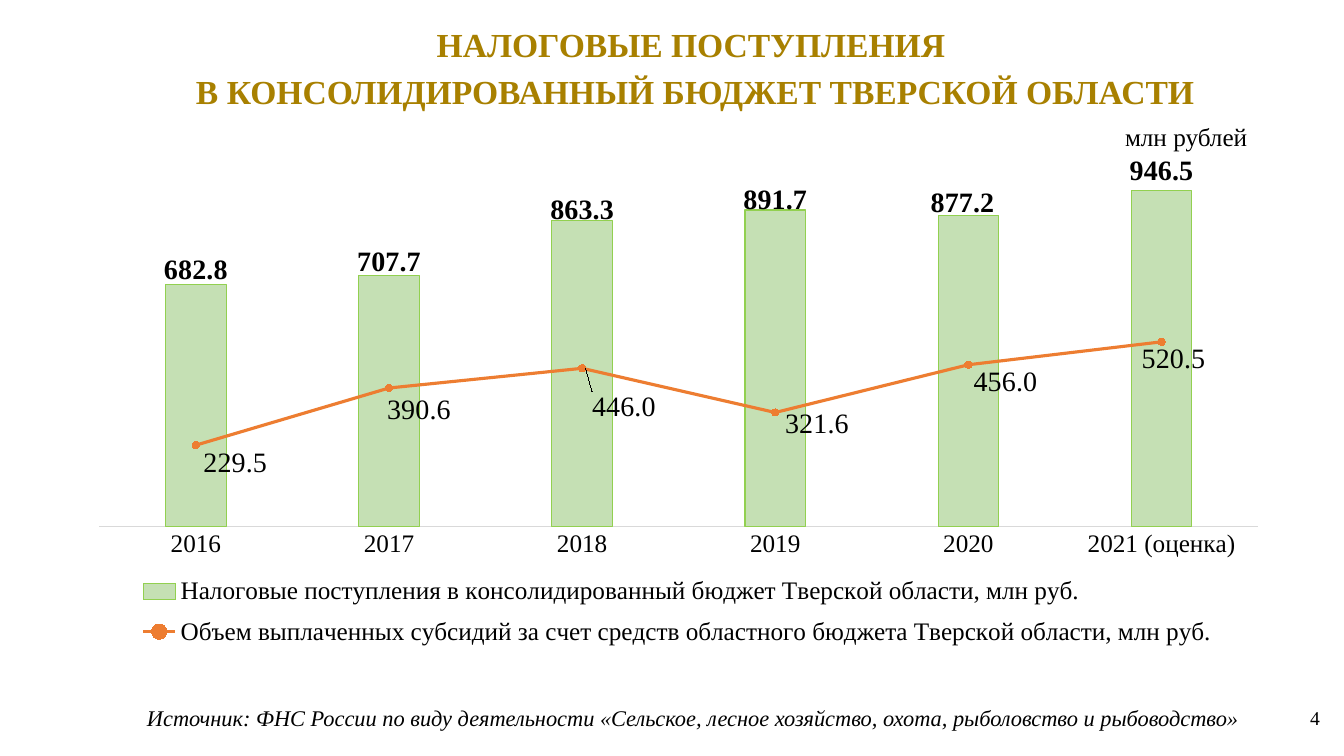
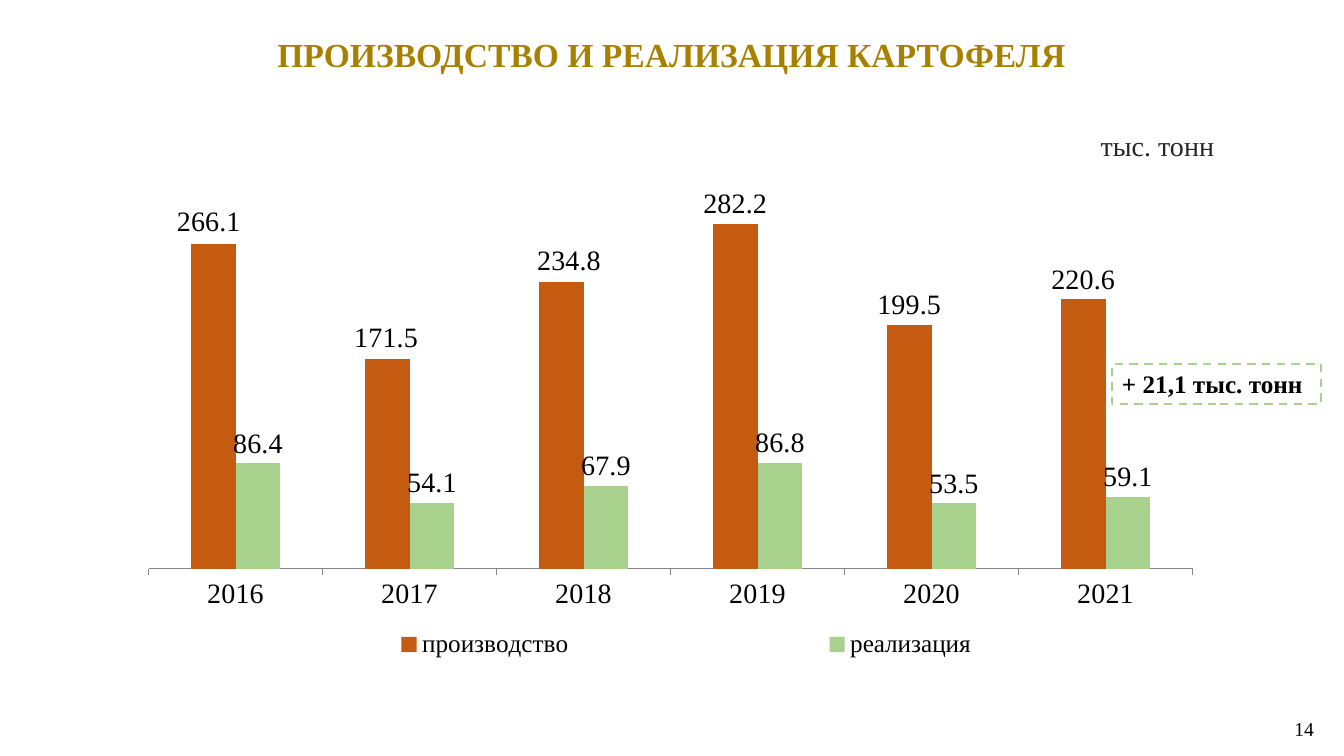
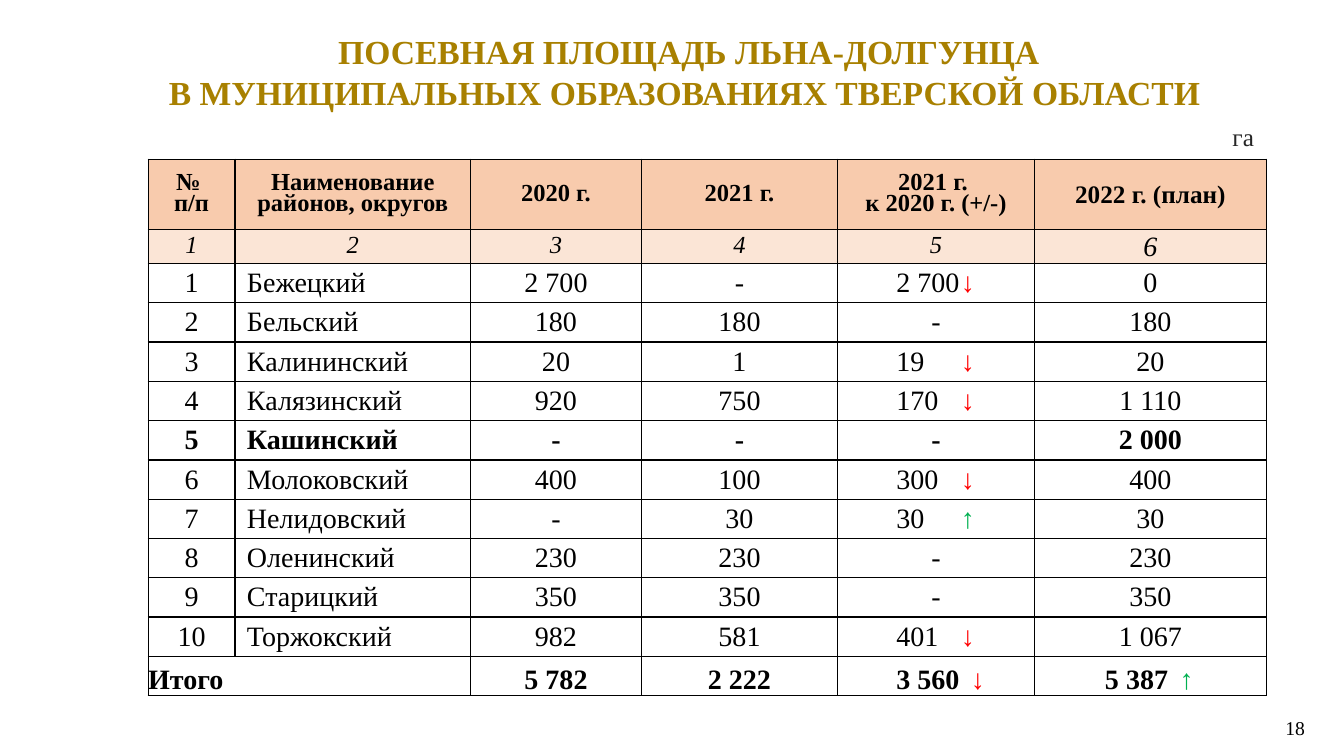
import pptx
import pptx.util
import pptx.chart.data
import pptx.dml.color
import pptx.enum.chart
import pptx.enum.dml
import pptx.enum.shapes
import pptx.enum.text
import pptx.oxml
import pptx.oxml.ns

Inches, Pt = pptx.util.Inches, pptx.util.Pt
qn = pptx.oxml.ns.qn
Kind = pptx.enum.chart.XL_CHART_TYPE
Spot = pptx.enum.chart.XL_LABEL_POSITION
Tick = pptx.enum.chart.XL_TICK_MARK
NS = pptx.oxml.ns.nsdecls("c", "a")


class Theme:
    font = "Times New Roman"
    gold, black, dark = "A88000", "000000", "262626"
    red, green = "FF0000", "00B050"
    peach, cream = "F8CBAD", "FBE5D6"
    lime, leaf, grass = "C5E0B4", "92D050", "A9D18E"
    orange, rust = "ED7D31", "C55A11"
    pale, gray = "D9D9D9", "868686"
    title, body, text, head, note, page = 24, 20, 18, 17.5, 16, 14


# Content
YEARS = ["2016", "2017", "2018", "2019", "2020", "2021"]

TAXES = dict(
    at=(0.82, 1.48, 11.8, 5.43), cats=YEARS[:5] + ["2021 (оценка)"],
    top=1000, gap=219, axis=Theme.pale, tick=Tick.NONE, size=Theme.text,
    plot=(0.014, 0.041, 0.974, 0.649), legend=(0.02, 0.76, 0.96, 0.17),
    series=[
        dict(name="Налоговые поступления в консолидированный бюджет Тверской области, млн руб.",
             vals=[682.8, 707.7, 863.3, 891.7, 877.2, 946.5],
             fill=Theme.lime, edge=Theme.leaf, bold=True,
             shift={0: (0, 0.011), 1: (0, 0.011), 2: (0, 0.018),
                    3: (0, 0.018), 4: (-0.005, 0.013)}),
        dict(name="Объем выплаченных субсидий за счет средств областного бюджета Тверской области, млн руб.",
             vals=[229.5, 390.6, 446, 321.6, 456, 520.5],
             fill=Theme.orange, line=True,
             shift={0: (0, 0.033), 1: (-0.008, 0.04), 2: (0.002, 0.071),
                    3: (0.002, 0.022), 4: (-0.002, 0.031), 5: (-0.023, 0.031)}),
    ])

POTATO = dict(
    at=(1.03, 1.78, 11.11, 5.2), cats=YEARS,
    top=300, gap=189, axis=Theme.gray, tick=Tick.OUTSIDE, size=Theme.body,
    plot=(0.04, 0.044, 0.932, 0.699), legend=(0.04, 0.84, 0.96, 0.095),
    series=[
        dict(name="производство", vals=[266.1, 171.5, 234.8, 282.2, 199.5, 220.6],
             fill=Theme.rust,
             shift={0: (-0.004, -0.004), 1: (-0.001, -0.004), 2: (0.007, -0.002)}),
        dict(name="реализация", vals=[86.4, 54.1, 67.9, 86.8, 53.5, 59.1],
             fill=Theme.grass),
    ])

WIDTHS = [0.86, 2.34, 1.69, 1.95, 1.95, 2.3]
HEADS = ["№ \vп/п", "Наименование районов, округов", "2020 г.", "2021 г.",
         "2021 г. \vк 2020 г. (+/-)", "2022 г. (план)"]
FLAX = [
    ("Бежецкий", "2 700", "-", "2 700↓", "0"),
    ("Бельский", "180", "180", "-", "180"),
    ("Калининский", "20", "1", "19↓", "20"),
    ("Калязинский", "920", "750", "170↓", "1 110"),
    ("Кашинский", "-", "-", "-", "2 000"),
    ("Молоковский", "400", "100", "300↓", "400"),
    ("Нелидовский", "-", "30", "30↑", "30"),
    ("Оленинский", "230", "230", "-", "230"),
    ("Старицкий", "350", "350", "-", "350"),
    ("Торжокский", "982", "581", "401↓", "1 067"),
]
TOTAL = ["Итого", "", "5 782", "2 222", "3 560↓", "5 387↑"]
BOLD = "Кашинский"
ARROWS = {"↓": Theme.red, "↑": Theme.green}
LEADS = {4: 0.58, 5: 0.7}  # left inset of a cell with an arrow, by column


# Text
def rgb(code):
    return pptx.dml.color.RGBColor.from_string(code)


def style(font, size, color=Theme.black, bold=False, italic=False):
    font.name, font.size, font.bold, font.italic = Theme.font, Pt(size), bold, italic
    font.color.rgb = rgb(color)


def write(frame, text, size=Theme.text, color=Theme.black, bold=False,
          italic=False, align="l", space=None, anchor="t", inset=None, stop=None):
    """Text is one string (newline: paragraph, \\v: line break); arrows get own colour."""
    frame.word_wrap = True
    frame.vertical_anchor = {"t": pptx.enum.text.MSO_ANCHOR.TOP,
                             "m": pptx.enum.text.MSO_ANCHOR.MIDDLE}[anchor]
    if inset:
        (frame.margin_left, frame.margin_top,
         frame.margin_right, frame.margin_bottom) = map(Inches, inset)
    for i, line in enumerate(text.split("\n")):
        para = frame.add_paragraph() if i else frame.paragraphs[0]
        para.alignment = {"l": pptx.enum.text.PP_ALIGN.LEFT,
                          "c": pptx.enum.text.PP_ALIGN.CENTER,
                          "r": pptx.enum.text.PP_ALIGN.RIGHT}[align]
        if space:
            para.line_spacing = space
        if stop:
            para._p.get_or_add_pPr().append(pptx.oxml.parse_xml(
                f'<a:tabLst {NS}><a:tab pos="{Inches(stop)}" algn="l"/></a:tabLst>'))
        for j, bit in enumerate(line.split("\v")):
            if j:
                para.add_line_break()
            mark = bit[-1:] if bit[-1:] in ARROWS else ""
            parts = [(bit[:-1] + "\t", color, bold), (mark, ARROWS[mark], False)] \
                if mark else [(bit, color, bold)]
            for part, tint, thick in parts:
                run = para.add_run()
                run.text = part
                style(run.font, size, tint, thick, italic)


def label(slide, at, text, **form):
    box = slide.shapes.add_textbox(*map(Inches, at))
    write(box.text_frame, text, **form)


def start(deck, title, at, page, spot, space=None, align="l"):
    slide = deck.slides.add_slide(deck.slide_layouts[6])
    label(slide, at, title, size=Theme.title, color=Theme.gold, bold=True,
          align="c", space=space)
    label(slide, spot, page, size=Theme.page, align=align)
    return slide


# Charts
def layout(*vals, inner=False, edge=True):
    head = '<c:layoutTarget val="inner"/>' if inner else ""
    if edge:
        head += '<c:xMode val="edge"/><c:yMode val="edge"/>'
    body = "".join(f'<c:{k} val="{v}"/>' for k, v in zip("xywh", vals))
    return pptx.oxml.parse_xml(
        f"<c:layout {NS}><c:manualLayout>{head}{body}</c:manualLayout></c:layout>")


def clear(node, tag):
    for old in node.findall(qn(tag)):
        node.remove(old)


def to_line(chart, index):
    """Move one series from the columns to a line on the same axes."""
    bars = chart.plots[0]._element
    ser = bars.findall(qn("c:ser"))[index]
    clear(ser, "c:invertIfNegative")
    axes = "".join(f'<c:axId val="{a.get("val")}"/>' for a in bars.findall(qn("c:axId")))
    line = pptx.oxml.parse_xml(
        f'<c:lineChart {NS}><c:grouping val="standard"/><c:varyColors val="0"/>'
        f'<c:marker val="1"/>{axes}</c:lineChart>')
    line.insert(2, ser)
    bars.addnext(line)


def paint(ser, item):
    fill, line = item["fill"], item.get("line")
    if line:
        ser.smooth = False
        ser.format.line.color.rgb = rgb(fill)
        ser.format.line.width = Pt(2.25)
        ser.marker.style = pptx.enum.chart.XL_MARKER_STYLE.CIRCLE
        ser.marker.size = 5
        ser.marker.format.fill.solid()
        ser.marker.format.fill.fore_color.rgb = rgb(fill)
        ser.marker.format.line.color.rgb = rgb(fill)
    else:
        ser.format.fill.solid()
        ser.format.fill.fore_color.rgb = rgb(fill)
        if "edge" in item:
            ser.format.line.color.rgb = rgb(item["edge"])
            ser.format.line.width = Pt(0.75)
    spot = Spot.RIGHT if line else Spot.OUTSIDE_END
    bold = item.get("bold", False)
    tags = ser.data_labels
    tags.show_value, tags.position = True, spot
    style(tags.font, Theme.body, bold=bold)
    for i, move in item.get("shift", {}).items():
        tag = ser.points[i].data_label
        style(tag.font, Theme.body, bold=bold)
        tag.position = spot
        node = next(d for d in tags._element.findall(qn("c:dLbl"))
                    if d.find(qn("c:idx")).get("val") == str(i))
        node.find(qn("c:idx")).addnext(layout(*move, edge=False))


def draw(slide, info):
    data = pptx.chart.data.CategoryChartData(number_format="#,##0.0")
    data.categories = info["cats"]
    for item in info["series"]:
        data.add_series(item["name"], item["vals"])
    chart = slide.shapes.add_chart(
        Kind.COLUMN_CLUSTERED, *map(Inches, info["at"]), data).chart
    chart.has_title = False
    style(chart.font, Theme.text)
    chart.plots[0].gap_width = info["gap"]
    chart.plots[0].vary_by_categories = False

    cat, val = chart.category_axis, chart.value_axis
    cat.major_tick_mark = info["tick"]
    cat.format.line.color.rgb = rgb(info["axis"])
    cat.format.line.width = Pt(0.75)
    style(cat.tick_labels.font, info["size"])
    val.minimum_scale, val.maximum_scale = 0, info["top"]
    val.has_major_gridlines = val.visible = False

    chart.has_legend = True
    key = chart.legend
    key.position = pptx.enum.chart.XL_LEGEND_POSITION.BOTTOM
    key.include_in_layout = False
    style(key.font, Theme.text)
    clear(key._element, "c:layout")
    key._element.find(qn("c:legendPos")).addnext(layout(*info["legend"]))
    area = chart._chartSpace.chart.plotArea
    clear(area, "c:layout")
    area.insert(0, layout(*info["plot"], inner=True))

    for i, item in enumerate(info["series"]):
        if item.get("line"):
            to_line(chart, i)
    made = [ser for plot in chart.plots for ser in plot.series]
    for ser, item in zip(made, info["series"]):
        paint(ser, item)


# Table
def border(cell):
    props = cell._tc.get_or_add_tcPr()
    for i, side in enumerate("LRTB"):
        props.insert(i, pptx.oxml.parse_xml(
            f'<a:ln{side} {NS} w="{Pt(1)}"><a:solidFill>'
            f'<a:srgbClr val="{Theme.black}"/></a:solidFill></a:ln{side}>'))


def grid(slide):
    rows = [HEADS, [str(n + 1) for n in range(len(HEADS))]]
    rows += [[str(n), *row] for n, row in enumerate(FLAX, 1)] + [TOTAL]
    tall = [0.7, 0.33] + [0.39] * (len(rows) - 2)
    table = slide.shapes.add_table(
        len(rows), len(WIDTHS), Inches(1.47), Inches(1.58),
        Inches(sum(WIDTHS)), Inches(sum(tall))).table
    table.first_row = table.horz_banding = False
    for col, wide in zip(table.columns, WIDTHS):
        col.width = Inches(wide)
    last = len(rows) - 1
    for r, row in enumerate(rows):
        table.rows[r].height = Inches(tall[r])
        for c, text in enumerate(row):
            cell = table.cell(r, c)
            fill = {0: Theme.peach, 1: Theme.cream}.get(r)
            if fill:
                cell.fill.solid()
                cell.fill.fore_color.rgb = rgb(fill)
            else:
                cell.fill.background()
            border(cell)
            # Format by row, then by column
            size, space = (Theme.head, 0.8) if r < 2 else (Theme.body, None)
            if r < 2 and c == 5:
                size, space = (Theme.text, Theme.body)[r], None
            left, align, stop = 0, "c", None
            if r == last and c == 0:
                align = "l"
            elif r > 1 and c == 1:
                left, align = 0.12, "l"
            if text[-1:] in ARROWS:
                left, align, stop = LEADS[c], "l", 0.74 if r == last else 0.64
            cell.margin_left = Inches(left)
            cell.margin_top = cell.margin_right = cell.margin_bottom = 0
            cell.vertical_anchor = (pptx.enum.text.MSO_ANCHOR.BOTTOM if r == last
                                    else pptx.enum.text.MSO_ANCHOR.MIDDLE)
            if text:
                fill_cell(cell, text, size=size, align=align, space=space, stop=stop,
                          bold=r in (0, last) or BOLD in row, italic=r == 1)
    table.cell(last, 0).merge(table.cell(last, 1))


def fill_cell(cell, text, **form):
    """Write into a cell and keep the cell's own anchor."""
    anchor = cell.vertical_anchor
    write(cell.text_frame, text, **form)
    body = cell.text_frame._txBody.bodyPr
    for name in ("anchor", "wrap"):
        body.attrib.pop(name, None)
    cell.vertical_anchor = anchor


# Slides
def taxes(deck):
    slide = start(deck, "НАЛОГОВЫЕ ПОСТУПЛЕНИЯ \nВ КОНСОЛИДИРОВАННЫЙ БЮДЖЕТ ТВЕРСКОЙ ОБЛАСТИ",
                  (1.3, 0.13, 11.19, 0.93), "4", (12.48, 6.95, 0.71, 0.34),
                  space=1.15, align="r")
    draw(slide, TAXES)
    label(slide, (1.36, 6.94, 11.63, 0.37),
          "Источник: ФНС России по виду деятельности «Сельское, лесное хозяйство, "
          "охота, рыболовство и рыбоводство»", size=Theme.note, italic=True)
    label(slide, (11.06, 1.15, 2.03, 0.4), "млн рублей")


def potato(deck):
    slide = start(deck, "ПРОИЗВОДСТВО И РЕАЛИЗАЦИЯ КАРТОФЕЛЯ",
                  (1.15, 0.29, 11.02, 0.5), "14", (12.74, 7.06, 0.46, 0.34))
    draw(slide, POTATO)
    label(slide, (10.6, 1.23, 1.54, 0.44), "тыс. тонн", size=Theme.body,
          color=Theme.dark, align="r")
    gain = slide.shapes.add_shape(pptx.enum.shapes.MSO_SHAPE.RECTANGLE,
                                  *map(Inches, (11.03, 3.61, 2.07, 0.4)))
    gain.shadow.inherit = False
    gain.fill.background()
    gain.line.color.rgb = rgb(Theme.grass)
    gain.line.width = Pt(1.5)
    gain.line.dash_style = pptx.enum.dml.MSO_LINE.DASH
    write(gain.text_frame, "+ 21,1 тыс. тонн", bold=True)


def flax(deck):
    slide = start(deck, " ПОСЕВНАЯ ПЛОЩАДЬ ЛЬНА-ДОЛГУНЦА\nВ МУНИЦИПАЛЬНЫХ ОБРАЗОВАНИЯХ ТВЕРСКОЙ ОБЛАСТИ",
                  (1.25, 0.26, 11.08, 0.91), "18", (12.65, 7.05, 0.71, 0.34))
    label(slide, (11.54, 1.15, 1.58, 0.4), "га", color=Theme.dark, align="c")
    grid(slide)


def main():
    deck = pptx.Presentation()
    deck.slide_width, deck.slide_height = Inches(13.33), Inches(7.5)
    for build in (taxes, potato, flax):
        build(deck)
    deck.save("out.pptx")


if __name__ == "__main__":
    main()
